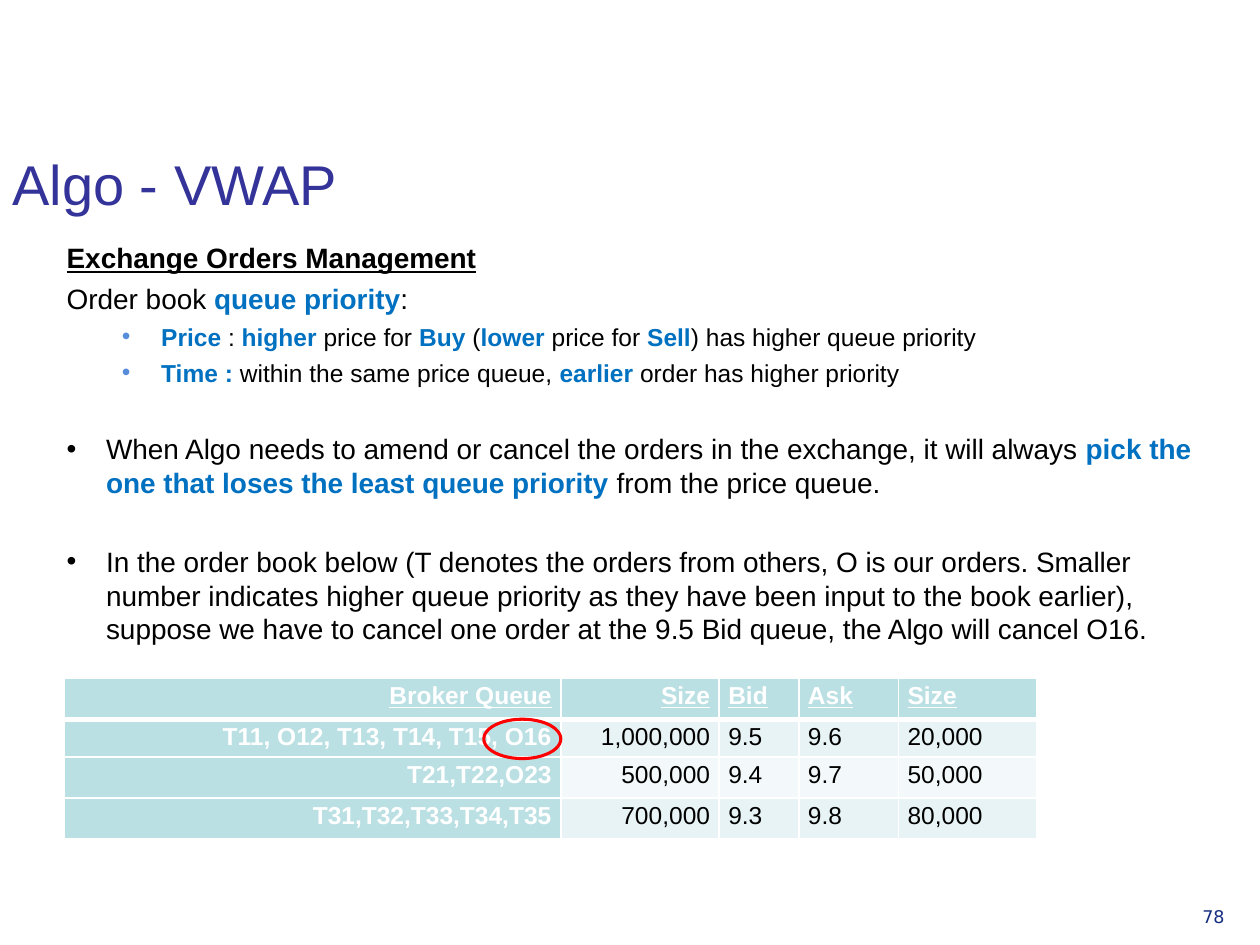
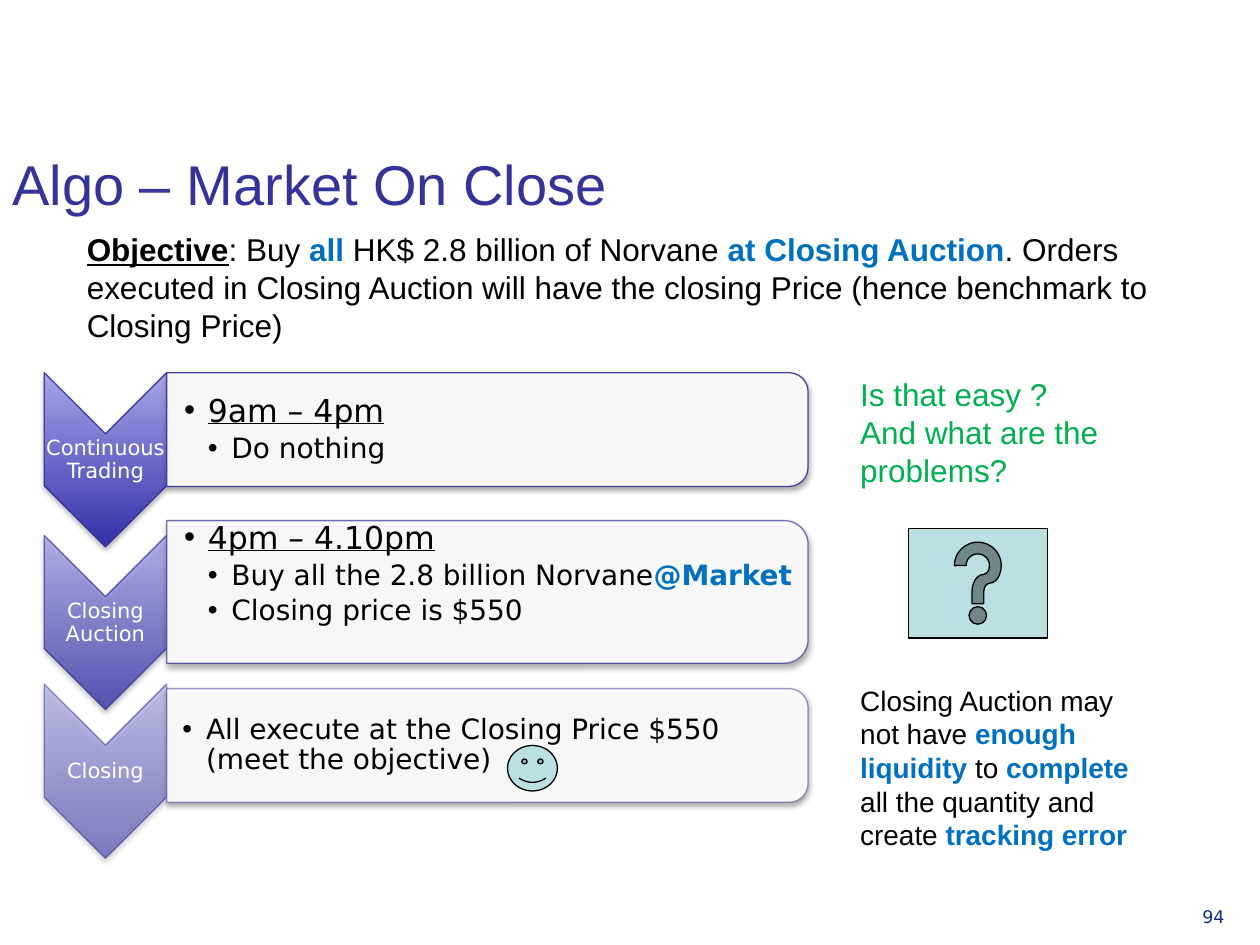
"""Builds two slides on the VWAP and Market On Close trading algorithms."""
from lxml.etree import SubElement
from pptx import Presentation
from pptx.dml.color import RGBColor
from pptx.enum.shapes import MSO_SHAPE
from pptx.enum.text import MSO_ANCHOR, PP_ALIGN
from pptx.oxml.ns import qn
from pptx.util import Pt

NAVY, BLUE, TEAL, BLACK, WHITE = "333399", "0070C0", "BBE0E3", "000000", "FFFFFF"
GREEN, PAGE_BLUE, BULLET_BLUE = "00B050", "152E82", "578CDA"
SANS, DIAGRAM_FONT = "Arial", "DejaVu Sans"
KEY = {"bold": True, "color": BLUE}
HEADING = {"bold": True, "underline": True}
UNDERLINED = {"underline": True}

ITEM = {"size": 16, "bullet": BLACK, "left": 22.5, "hang": 22.5}
RULE = {"size": 14, "bullet": BULLET_BLUE, "left": 54, "hang": 22.5, "before": 3.9}
SLOT = {"size": 18, "bullet": BLACK, "left": 13.5, "hang": 13.5, "line": 0.9, "after": 3}
ACTION = SLOT | {"size": 16, "left": 27}
RESULT = SLOT | {"size": 16}

VWAP_TEXT = [
    ({"size": 16}, [("Exchange Orders Management", HEADING)]),
    ({"size": 16, "before": 3.9}, ["Order book ", ("queue priority", KEY), ":"]),
    (RULE, [("Price ", KEY), ": ", ("higher", KEY), " price for ", ("Buy", KEY), " (",
            ("lower", KEY), " price for ", ("Sell", KEY), ") has higher queue priority"]),
    (RULE, [("Time : ", KEY), "within the same price queue, ", ("earlier", KEY),
            " order has higher priority"]),
    (ITEM | {"before": 25.5}, [
        "When Algo needs to amend or cancel the orders in the exchange, it will always ",
        ("pick the one that loses the least queue priority ", KEY), "from the price queue."]),
    (ITEM | {"before": 26}, [
        "In the order book below (T denotes the orders from others, O is our orders. "
        "Smaller number indicates higher queue priority as they have been input to the book "
        "earlier), suppose we have to cancel one order at the 9.5 Bid queue, the Algo will "
        "cancel O16."]),
]
ORDER_BOOK = [
    ("Broker Queue", "Size", "Bid", "Ask", "Size"),
    ("T11, O12, T13, T14, T15, O16", "1,000,000", "9.5", "9.6", "20,000"),
    ("T21,T22,O23", "500,000", "9.4", "9.7", "50,000"),
    ("T31,T32,T33,T34,T35", "700,000", "9.3", "9.8", "80,000"),
]
COLUMN_WIDTHS = (283.5, 90.5, 45.5, 57, 79)
ROW_HEIGHTS = (23.5, 21.5, 23.5, 23.5)
BAND_FILLS = ("E7F3F4", "F3F9FA")

OBJECTIVE = [({"size": 18}, [
    ("Objective", HEADING), ": Buy ", ("all", KEY), " HK$ 2.8 billion of Norvane ",
    ("at Closing Auction", KEY), ". Orders executed in Closing Auction will have the closing "
    "Price (hence benchmark to Closing Price)"])]
STAGES = [
    {"label": "Continuous Trading", "top": 213, "opacity": 90,
     "panel_top": 213, "panel_height": 65, "insets": (10, 1, 1, 1),
     "text": [(SLOT, [("9am – 4pm", UNDERLINED)]), (ACTION, ["Do nothing"])]},
    {"label": "Closing Auction", "top": 306, "opacity": 70,
     "panel_top": 297.5, "panel_height": 81.5, "insets": (10, 1, 1, 21),
     "text": [(SLOT, [("4pm – 4.10pm", UNDERLINED)]),
              (ACTION, ["Buy all the 2.8 billion Norvane", ("@Market", KEY)]),
              (ACTION, ["Closing price is $550"])]},
    {"label": "Closing", "top": 391, "opacity": 50,
     "panel_top": 393.5, "panel_height": 65, "insets": (9, 1, 1, 1),
     "text": [(RESULT, ["All execute at the Closing Price $550\n(meet the objective)"])]},
]
CHEVRON_LEFT, CHEVRON_WIDTH, CHEVRON_HEIGHT = 25.25, 70, 99.5
PANEL_LEFT, PANEL_WIDTH = 95.25, 366.5
QUESTION = [({"size": 18}, ["Is that easy ?"]), ({"size": 18}, ["And what are the problems?"])]
PROBLEM = [({"size": 16}, [
    "Closing Auction may not have ", ("enough liquidity ", KEY), "to ", ("complete", KEY),
    " all the quantity and create ", ("tracking error", KEY)])]


def rgb(color):
    return RGBColor.from_string(color)


def points(values):
    return [Pt(value) for value in values]


def add_bullet(para, style):
    properties = para._p.get_or_add_pPr()
    properties.set("marL", str(Pt(style["left"])))
    properties.set("indent", str(-Pt(style["hang"])))
    SubElement(SubElement(properties, qn("a:buClr")), qn("a:srgbClr"), val=style["bullet"])
    SubElement(properties, qn("a:buFont"), typeface=SANS)
    SubElement(properties, qn("a:buChar"), char="•")


def add_span(para, text, formats):
    for number, piece in enumerate(text.split("\n")):
        if number:
            para.add_line_break()
        span = para.add_run()
        span.text = piece
        for name, value in formats.items():
            if name == "color":
                span.font.color.rgb = rgb(value)
            else:
                setattr(span.font, name, value)


def write(frame, paragraphs, font=SANS, color=BLACK, align=PP_ALIGN.LEFT):
    for number, (style, spans) in enumerate(paragraphs):
        para = frame.add_paragraph() if number else frame.paragraphs[0]
        spacing = {"alignment": align, "line_spacing": style.get("line"),
                   "space_before": Pt(style.get("before", 0)),
                   "space_after": Pt(style.get("after", 0))}
        for name, value in spacing.items():
            setattr(para, name, value)
        if "bullet" in style:
            add_bullet(para, style)
        base = {"name": font, "size": Pt(style["size"]), "color": color}
        for span in spans:
            text, extra = (span, {}) if isinstance(span, str) else span
            add_span(para, text, base | extra)


def add_text(page, place, paragraphs, anchor=MSO_ANCHOR.TOP, insets=(7.2, 3.6, 7.2, 3.6),
             **look):
    frame = page.shapes.add_textbox(*points(place)).text_frame
    frame.word_wrap = True
    frame.vertical_anchor = anchor
    sides = ("margin_left", "margin_top", "margin_right", "margin_bottom")
    for side, inset in zip(sides, points(insets)):
        setattr(frame, side, inset)
    write(frame, paragraphs, **look)


def add_shape(page, kind, place, fill=None, line=BLACK, width=0.75):
    shape = page.shapes.add_shape(kind, *points(place))
    shape.shadow.inherit = False
    if fill:
        shape.fill.solid()
        shape.fill.fore_color.rgb = rgb(fill)
    else:
        shape.fill.background()
    shape.line.color.rgb = rgb(line)
    shape.line.width = Pt(width)
    return shape


def add_turned(page, kind, left, top, width, height, fill):
    """Adds a shape turned a quarter so that it covers the given area."""
    shift = (width - height) / 2
    shape = add_shape(page, kind, (left + shift, top - shift, height, width), fill, NAVY)
    shape.rotation = 90
    effects = shape._element.spPr.find(qn("a:effectLst"))
    shadow = SubElement(effects, qn("a:outerShdw"), blurRad=str(Pt(3.1)), dist=str(Pt(1.8)),
                        dir="5400000", rotWithShape="0")
    tint = SubElement(shadow, qn("a:srgbClr"), val=BLACK)
    SubElement(tint, qn("a:alpha"), val="35000")
    return shape


def fade(element, percent):
    for color in element.iter(qn("a:srgbClr")):
        SubElement(color, qn("a:alpha"), val=str(percent * 1000))


def add_stage(page, stage):
    opacity = stage["opacity"]
    chevron = add_turned(page, MSO_SHAPE.CHEVRON, CHEVRON_LEFT, stage["top"],
                         CHEVRON_WIDTH, CHEVRON_HEIGHT, NAVY)
    chevron.fill.gradient()
    chevron.fill.gradient_angle = 90
    for stop, (position, color) in zip(chevron.fill.gradient_stops,
                                       ((0, "2424A8"), (1, "A4A4EF"))):
        stop.position = position
        stop.color.rgb = rgb(color)
    gradient = chevron._element.spPr.find(qn("a:gradFill"))
    gradient.set("rotWithShape", "0")
    fade(gradient, opacity)
    fade(chevron.line._ln, opacity)
    add_text(page, (CHEVRON_LEFT, stage["top"] + 35, CHEVRON_WIDTH, 30),
             [({"size": 12, "line": 0.9}, [stage["label"]])], MSO_ANCHOR.MIDDLE,
             (0.7, 0.7, 0.7, 0.7), font=DIAGRAM_FONT, color=WHITE, align=PP_ALIGN.CENTER)

    top, height = stage["panel_top"], stage["panel_height"]
    panel = add_turned(page, MSO_SHAPE.ROUND_2_SAME_RECTANGLE, PANEL_LEFT, top,
                       PANEL_WIDTH, height, WHITE)
    fade(panel._element.spPr.find(qn("a:solidFill")), 90)
    fade(panel.line._ln, opacity)
    add_text(page, (PANEL_LEFT, top + 3.5, PANEL_WIDTH - 3, height - 7), stage["text"],
             MSO_ANCHOR.MIDDLE, stage["insets"], font=DIAGRAM_FONT)


def set_borders(cell, bottom):
    properties = cell._tc.get_or_add_tcPr()
    widths = {"a:lnL": 1, "a:lnR": 1, "a:lnT": 1, "a:lnB": bottom}
    for position, (tag, width) in enumerate(widths.items()):
        border = SubElement(properties, qn(tag), w=str(Pt(width)))
        SubElement(SubElement(border, qn("a:solidFill")), qn("a:srgbClr"), val=WHITE)
        properties.insert(position, border)


def add_order_book(page, left, top):
    place = points((left, top, sum(COLUMN_WIDTHS), sum(ROW_HEIGHTS)))
    table = page.shapes.add_table(len(ORDER_BOOK), len(COLUMN_WIDTHS), *place).table
    table.first_row = table.horz_banding = False
    for column, width in zip(table.columns, COLUMN_WIDTHS):
        column.width = Pt(width)
    for number, (row, height) in enumerate(zip(table.rows, ROW_HEIGHTS)):
        row.height = Pt(height)
        for position, (cell, text) in enumerate(zip(row.cells, ORDER_BOOK[number])):
            header = number == 0
            strong = header or position == 0
            cell.margin_left = cell.margin_right = Pt(5.2)
            cell.margin_top = cell.margin_bottom = 0
            cell.fill.solid()
            cell.fill.fore_color.rgb = rgb(TEAL if strong else BAND_FILLS[(number - 1) % 2])
            set_borders(cell, 3 if header else 1)
            write(cell.text_frame,
                  [({"size": 14, "line": 1.15}, [(text, {"bold": strong, "underline": header})])],
                  color=WHITE if strong else BLACK,
                  align=PP_ALIGN.RIGHT if position < 2 else PP_ALIGN.LEFT)


def add_page(deck, title, number):
    page = deck.slides.add_slide(deck.slide_layouts[6])
    add_text(page, (680, 514, 39.5, 28), [({"size": 10}, [number])],
             font=DIAGRAM_FONT, color=PAGE_BLUE)
    add_text(page, (0, 49, 636, 78.5), [({"size": 32}, [title])], MSO_ANCHOR.BOTTOM, color=NAVY)
    return page


def main():
    deck = Presentation()
    deck.slide_width, deck.slide_height = Pt(720), Pt(540)

    page = add_page(deck, "Algo - VWAP", "78")
    add_text(page, (31, 134, 680, 244), VWAP_TEXT)
    add_order_book(page, 37, 387.5)
    add_shape(page, MSO_SHAPE.OVAL, (276.5, 411, 44, 22.5), line="FF0000", width=1.75)

    page = add_page(deck, "Algo – Market On Close", "94")
    add_text(page, (42.5, 128, 635, 68), OBJECTIVE)
    for stage in STAGES:
        add_stage(page, stage)
    add_text(page, (484.5, 211, 199, 97), QUESTION, color=GREEN)
    add_shape(page, MSO_SHAPE.ACTION_BUTTON_HELP, (519, 302, 79.5, 62.5), TEAL)
    add_text(page, (484.5, 387, 177, 124), PROBLEM)
    add_shape(page, MSO_SHAPE.SMILEY_FACE, (290, 426, 28.5, 26), TEAL)

    deck.save("out.pptx")


if __name__ == "__main__":
    main()
